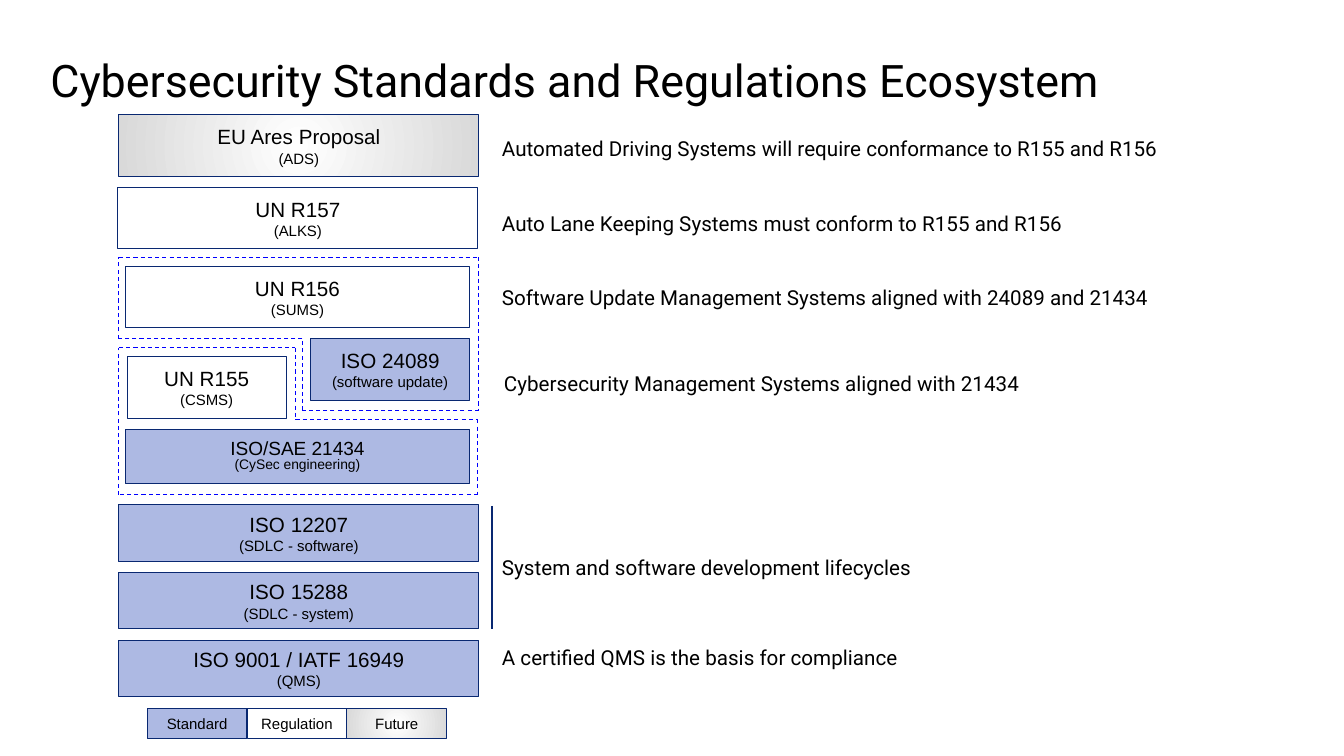
from itertools import pairwise

from lxml import etree
from pptx import Presentation
from pptx.dml.color import RGBColor
from pptx.enum import dml, shapes, text
from pptx.oxml.ns import qn
from pptx.util import Inches, Pt

# Theme
THEME = {
    "body_font": "Roboto", "box_font": "Arial",
    "text": "000000", "border": "092871", "dash": "0000FF",
    "standard": "ADB9E3", "regulation": "FFFFFF", "future": ("FFFFFF", "D9D9D9"),
    "title_size": 32, "size": 14.7, "small": 10.7,
    "tight_size": 13.6, "tight_small": 9.9,
}

# Content
TITLE = "Cybersecurity Standards and Regulations Ecosystem"
# name, detail, kind, (left, top, width, height), tight spacing
BOXES = [
    ("EU Ares Proposal", "(ADS)", "future", (1.18, 1.14, 3.57, 0.61), False),
    ("UN R157", "(ALKS)", "regulation", (1.17, 1.86, 3.57, 0.61), False),
    ("UN R156", "(SUMS)", "regulation", (1.24, 2.64, 3.42, 0.61), False),
    ("ISO 24089", "(software update)", "standard", (3.08, 3.36, 1.58, 0.61), False),
    ("UN R155", "(CSMS)", "regulation", (1.26, 3.54, 1.58, 0.61), False),
    ("ISO/SAE 21434", "(CySec engineering)", "standard", (1.24, 4.26, 3.42, 0.54), True),
]
LIFECYCLE = [
    ("ISO 12207", "(SDLC - software)"),
    ("ISO 15288", "(SDLC - system)"),
    ("ISO 9001 / IATF 16949", "(QMS)"),
]
# text, left, top
NOTES = [
    ("Automated Driving Systems will require conformance to R155 and R156", 4.88, 1.25),
    ("Auto Lane Keeping Systems must conform to R155 and R156", 4.88, 1.99),
    ("Software Update Management Systems aligned with 24089 and 21434", 4.88, 2.73),
    ("Cybersecurity Management Systems aligned with 21434", 4.9, 3.58),
    ("System and software development lifecycles", 4.88, 5.41),
    ("A certified QMS is the basis for compliance", 4.88, 6.3),
]
LEGEND = [("Standard", "standard"), ("Regulation", "regulation"), ("Future", "future")]
# Corners of the dashed outlines
UPDATE_OUTLINE = [(1.18, 2.55), (4.75, 2.55), (4.75, 4.07), (3, 4.07), (3, 3.36), (1.18, 3.36)]
SECURITY_OUTLINE = [(1.18, 3.45), (2.93, 3.45), (2.93, 4.16), (4.74, 4.16), (4.74, 4.91), (1.18, 4.91)]

prs = Presentation()
prs.slide_width, prs.slide_height = Inches(13.33), Inches(7.5)
slide = prs.slides.add_slide(prs.slide_layouts[6])


def color(name):
    return RGBColor.from_string(THEME[name])


def write(sp, lines, font, align, spacing=None, inset=0.1):
    """Fill a shape with (text, size) lines."""
    tf = sp.text_frame
    tf.word_wrap = True
    tf.margin_left = tf.margin_right = tf.margin_top = tf.margin_bottom = Inches(inset)
    tf.text = "\n".join(line for line, _ in lines)
    for p, (_, size) in zip(tf.paragraphs, lines):
        p.alignment = align
        p.line_spacing = spacing
        f = p.runs[0].font
        f.name, f.size, f.color.rgb = THEME[font], Pt(size), color("text")
    return tf


def paint(sp, kind):
    if kind != "future":
        sp.fill.solid()
        sp.fill.fore_color.rgb = color(kind)
        return
    sp.fill.gradient()
    for stop, value in zip(sp.fill.gradient_stops, THEME[kind]):
        stop.color.rgb = RGBColor.from_string(value)
    linear = sp.element.spPr.find(qn("a:gradFill")).find(qn("a:lin"))
    radial = etree.Element(qn("a:path"), {"path": "circle"})
    etree.SubElement(radial, qn("a:fillToRect"), dict.fromkeys("ltrb", "50000"))
    linear.getparent().replace(linear, radial)


def add_box(parent, lines, kind, place, spacing=None):
    sp = parent.add_shape(shapes.MSO_SHAPE.RECTANGLE, *map(Inches, place))
    sp.shadow.inherit = False
    paint(sp, kind)
    sp.line.color.rgb, sp.line.width = color("border"), Pt(0.75)
    tf = write(sp, lines, "box_font", text.PP_ALIGN.CENTER, spacing)
    tf.vertical_anchor = text.MSO_ANCHOR.MIDDLE


def add_text(line, size, place, inset=0.1):
    sp = slide.shapes.add_textbox(*map(Inches, place))
    return write(sp, [(line, size)], "body_font", text.PP_ALIGN.LEFT, inset=inset)


def add_line(start, end, name, width, dashed=False):
    ln = slide.shapes.add_connector(
        shapes.MSO_CONNECTOR.STRAIGHT, *map(Inches, (*start, *end)))
    ln.line.color.rgb, ln.line.width = color(name), Pt(width)
    if dashed:
        ln.line.dash_style = dml.MSO_LINE.DASH
    etree.SubElement(ln.element.spPr, qn("a:effectLst"))


# Title
tf = add_text(TITLE, THEME["title_size"], (0.5, 0.5, 12.33, 0.57), inset=0)
tf.vertical_anchor = text.MSO_ANCHOR.MIDDLE

# Standards and regulations
for name, detail, kind, place, tight in BOXES:
    prefix = "tight_" if tight else ""
    lines = [(name, THEME[prefix + "size"]), (detail, THEME[prefix + "small"])]
    add_box(slide.shapes, lines, kind, place, 0.8 if tight else None)

# Lifecycle and quality stack
for i, (name, detail) in enumerate(LIFECYCLE):
    lines = [(name, THEME["size"]), (detail, THEME["small"])]
    add_box(slide.shapes, lines, "standard", (1.18, 5.01 + i * 0.67, 3.57, 0.56))

# Explanations
for note, left, top in NOTES:
    add_text(note, THEME["size"], (left, top, 6.86, 0.45))

# Lifecycle bar and dashed outlines
add_line((4.88, 5.02), (4.88, 6.24), "border", 1.5)
for corners in (UPDATE_OUTLINE, SECURITY_OUTLINE):
    for start, end in pairwise(corners + corners[:1]):
        add_line(start, end, "dash", 0.75, dashed=True)

# Legend
legend = slide.shapes.add_group_shape()
for i, (label, kind) in enumerate(LEGEND):
    add_box(legend.shapes, [(label, THEME["small"])], kind, (1.46 + i * 0.99, 7.03, 0.99, 0.3))

prs.save("out.pptx")
